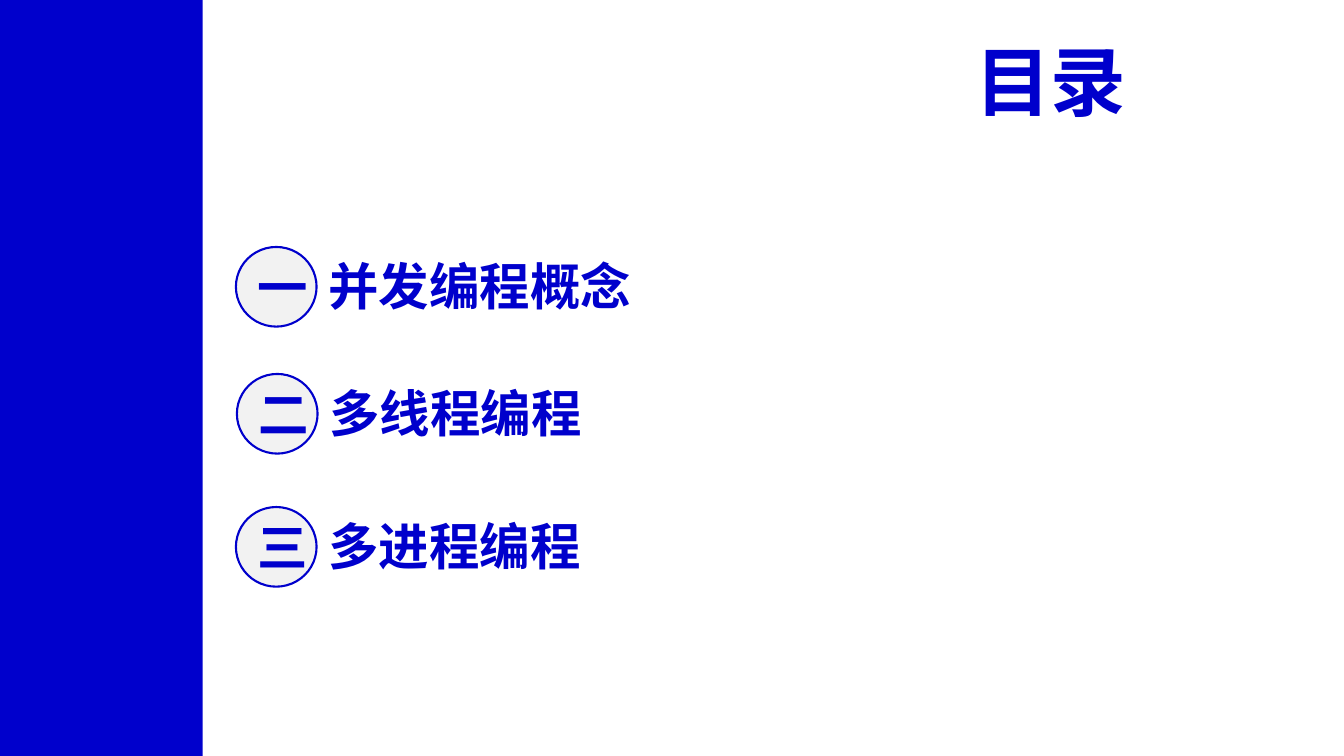
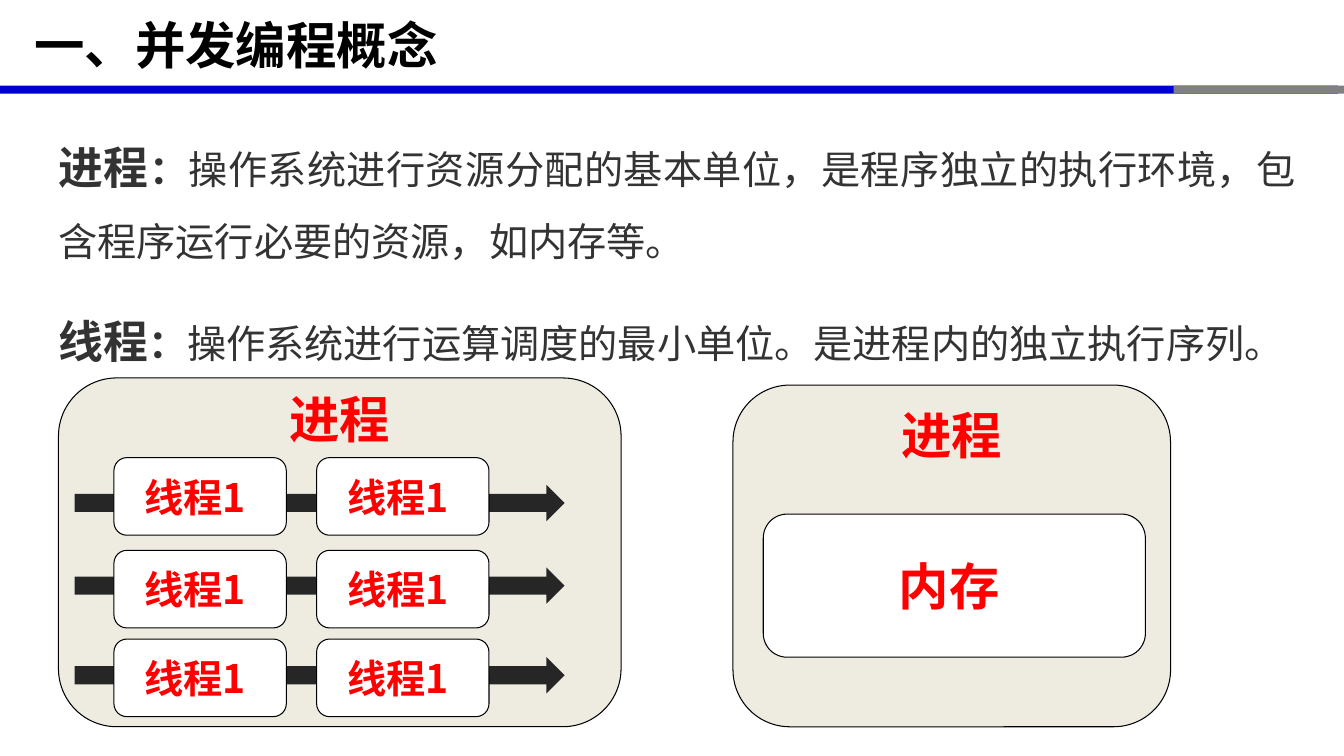
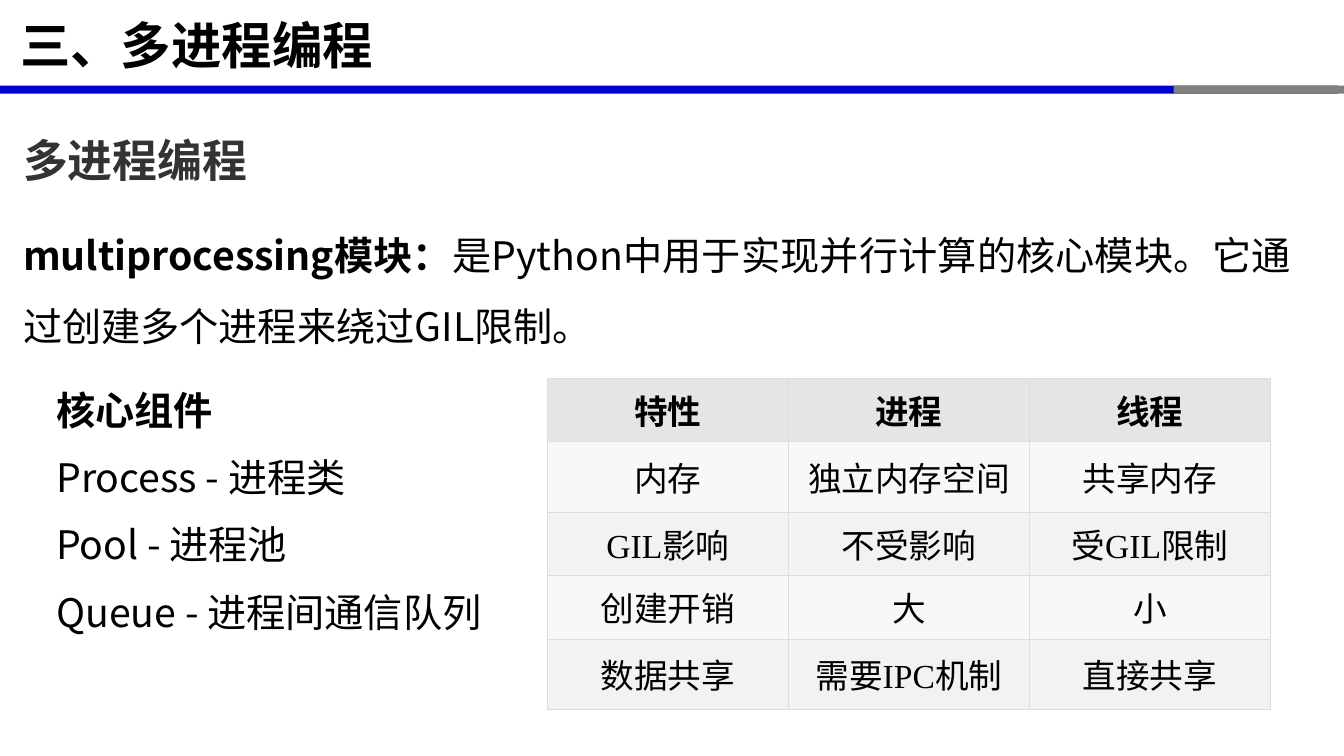
from dataclasses import dataclass

from lxml.etree import SubElement
from pptx import Presentation
from pptx.dml.color import RGBColor
from pptx.enum.shapes import MSO_SHAPE
from pptx.enum.text import MSO_ANCHOR, PP_ALIGN
from pptx.oxml.ns import qn
from pptx.util import Inches, Pt


@dataclass(frozen=True)
class Theme:
    blue: str = "0000CC"
    gray: str = "808080"
    black: str = "000000"
    white: str = "FFFFFF"
    ink: str = "333333"
    red: str = "FF0000"
    panel: str = "EEECE1"
    arrow: str = "262626"
    badge: str = "F2F2F2"
    grid: str = "DDDDDD"
    head: str = "E5E5E5"
    bands: tuple = ("F8F8F8", "F2F2F2")
    sans: str = "Noto Sans CJK SC"
    latin: str = "Arial"
    serif: str = "Times New Roman"
    cover: int = 54
    title: int = 36
    term: int = 32
    body: int = 28
    cell: int = 24


T = Theme()


def apply(target, values):
    for name, value in values.items():
        setattr(target, name, value)


def add_run(p, text, size, color, bold=True, font=T.sans):
    r = p.add_run()
    r.text = text
    apply(r.font, {"size": Pt(size), "bold": bold, "name": font})
    r.font.color.rgb = RGBColor.from_string(color)
    SubElement(r.font._element, qn("a:ea"), typeface=T.sans)


def add_text(s, box, paragraphs, align=PP_ALIGN.LEFT, anchor=MSO_ANCHOR.MIDDLE,
             leading=None, gap=0, inset=0.1):
    tf = s.shapes.add_textbox(*map(Inches, box)).text_frame
    apply(tf, {"word_wrap": True, "vertical_anchor": anchor, "margin_left": Inches(inset)})
    for i, runs in enumerate(paragraphs):
        p = tf.add_paragraph() if i else tf.paragraphs[0]
        apply(p, {"alignment": align, "line_spacing": Pt(leading) if leading else None})
        if i:
            p.space_before = Pt(gap)
        for run in runs:
            add_run(p, *run)


def add_box(s, kind, box, fill, line=None, width=0.75, label=None, left=0.1):
    sp = s.shapes.add_shape(kind, *map(Inches, box))
    sp.shadow.inherit = False
    sp.fill.solid()
    sp.fill.fore_color.rgb = RGBColor.from_string(fill)
    if line:
        sp.line.color.rgb = RGBColor.from_string(line)
        sp.line.width = Pt(width)
    else:
        sp.line.fill.background()
    if label:
        tf = sp.text_frame
        apply(tf, {"vertical_anchor": MSO_ANCHOR.MIDDLE, "margin_left": Inches(left)})
        p = tf.paragraphs[0]
        p.alignment = PP_ALIGN.CENTER
        add_run(p, *label)


def add_card(s, box, fill=T.white, label=None):
    add_box(s, MSO_SHAPE.ROUNDED_RECTANGLE, box, fill, T.black, label=label, left=0)


def add_panel(s, box, label, label_top):
    add_card(s, box, T.panel)
    x, _, w, _ = box
    add_text(s, (x, label_top, w, 0.71), [[(label, T.title, T.red)]], PP_ALIGN.CENTER)


def add_cell_borders(cell):
    tc_pr = cell._tc.get_or_add_tcPr()
    for i, side in enumerate(("lnL", "lnR", "lnT", "lnB")):
        ln = tc_pr.makeelement(qn(f"a:{side}"), {"w": str(Pt(0.75))})
        fill = SubElement(ln, qn("a:solidFill"))
        SubElement(fill, qn("a:srgbClr"), val=T.grid)
        tc_pr.insert(i, ln)


def add_grid(s, x, y, col_width, row_heights, rows):
    cols = len(rows[0])
    size = (x, y, col_width * cols, sum(row_heights))
    table = s.shapes.add_table(len(rows), cols, *map(Inches, size)).table
    table.horz_banding = False
    for col in table.columns:
        col.width = Inches(col_width)
    for i, (height, row) in enumerate(zip(row_heights, rows)):
        table.rows[i].height = Inches(height)
        fill = T.bands[(i - 1) % 2] if i else T.head
        for j, text in enumerate(row):
            cell = table.cell(i, j)
            cell.vertical_anchor = MSO_ANCHOR.MIDDLE
            cell.fill.solid()
            cell.fill.fore_color.rgb = RGBColor.from_string(fill)
            add_cell_borders(cell)
            p = cell.text_frame.paragraphs[0]
            p.alignment = PP_ALIGN.CENTER
            add_run(p, text, T.cell, T.black, i == 0, T.serif)


def new_slide(prs):
    return prs.slides.add_slide(prs.slide_layouts[6])


def content_slide(prs, title, left):
    s = new_slide(prs)
    add_box(s, MSO_SHAPE.RECTANGLE, (0, 0.85, 13.27, 0.08), T.blue)
    add_box(s, MSO_SHAPE.RECTANGLE, (11.64, 0.85, 1.69, 0.08), T.gray)
    add_text(s, (left, 0.01, 11.4, 0.87), [[(title, T.title, T.black)]], inset=0.2)
    return s


def contents(prs):
    s = new_slide(prs)
    add_box(s, MSO_SHAPE.RECTANGLE, (0, 0, 2.01, 7.5), T.blue)
    add_text(s, (9.31, 0.29, 1.96, 1.01), [[("目录", T.cover, T.blue, True, T.latin)]],
             PP_ALIGN.RIGHT)
    chapters = [
        (2.34, 2.45, "一", "并发编程概念"),
        (2.35, 3.71, "二", "多线程编程"),
        (2.34, 5.03, "三", "多进程编程"),
    ]
    for x, y, number, name in chapters:
        add_box(s, MSO_SHAPE.OVAL, (x, y, 0.8, 0.79), T.badge, T.blue, 1.5,
                (number, T.title, T.blue))
        add_text(s, (x + 0.82, y + 0.03, 6.2, 0.71),
                 [[(name, T.title, T.blue, True, T.latin)]])


def concepts(prs):
    s = content_slide(prs, "一、并发编程概念", 0.14)
    definitions = [
        ("进程", "操作系统进行资源分配的基本单位，是程序独立的执行环境，包含程序运行必要的资源，如内存等。"),
        ("线程", "操作系统进行运算调度的最小单位。是进程内的独立执行序列。"),
    ]
    add_text(s, (0.48, 1.17, 12.48, 2.47),
             [[(term, T.term, T.ink), ("：", T.body, T.ink), (text, T.body, T.ink, False)]
              for term, text in definitions],
             PP_ALIGN.JUSTIFY, MSO_ANCHOR.TOP, leading=50.5, gap=23)
    add_panel(s, (7.27, 3.82, 4.34, 3.39), "进程", 3.95)
    add_card(s, (7.57, 5.1, 3.79, 1.42), label=("内存", T.title, T.red))
    add_panel(s, (0.58, 3.75, 5.58, 3.46), "进程", 3.8)
    for arrow_y, card_y in ((4.81, 4.54), (5.63, 5.46), (6.52, 6.34)):
        add_box(s, MSO_SHAPE.RIGHT_ARROW, (0.74, arrow_y, 4.86, 0.36), T.arrow)
        for card_x in (1.13, 3.14):
            add_card(s, (card_x, card_y, 1.71, 0.77), label=("线程1", T.body, T.red))


def multiprocess(prs):
    s = content_slide(prs, "三、多进程编程", 0)
    add_text(s, (0.13, 1.1, 12.78, 2.37), [
        [("多进程编程", T.term, T.ink)],
        [("multiprocessing模块：", T.body, T.black),
         ("是Python中用于实现并行计算的核心模块。它通过创建多个进程来绕过GIL限制。",
          T.body, T.black, False)],
    ], PP_ALIGN.JUSTIFY, MSO_ANCHOR.TOP, leading=50.5, gap=15)
    add_grid(s, 5.43, 3.75, 2.39, (0.63, 0.7, 0.63, 0.63, 0.7), [
        ("特性", "进程", "线程"),
        ("内存", "独立内存空间", "共享内存"),
        ("GIL影响", "不受影响", "受GIL限制"),
        ("创建开销", "大", "小"),
        ("数据共享", "需要IPC机制", "直接共享"),
    ])
    parts = ("核心组件", "Process - 进程类", "Pool - 进程池", "Queue - 进程间通信队列")
    add_text(s, (0.46, 3.75, 5.1, 2.69),
             [[(part, T.body, T.black, i == 0)] for i, part in enumerate(parts)],
             anchor=MSO_ANCHOR.TOP, leading=36, gap=12)


def main():
    prs = Presentation()
    apply(prs, {"slide_width": Inches(13.33), "slide_height": Inches(7.5)})
    for build in (contents, concepts, multiprocess):
        build(prs)
    prs.save("out.pptx")


if __name__ == "__main__":
    main()
